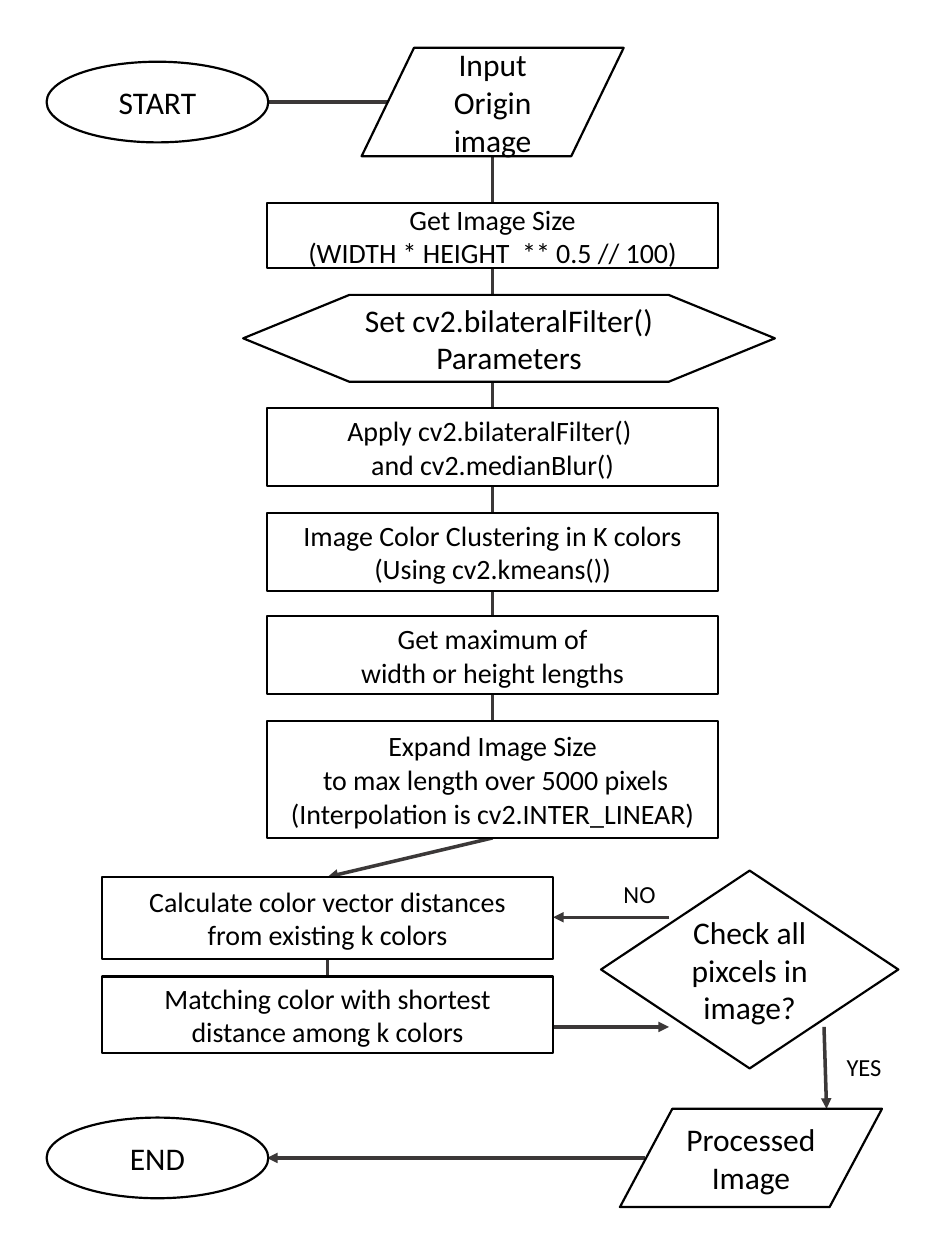
from lxml import etree
from pptx import Presentation
from pptx.dml.color import RGBColor
from pptx.enum.shapes import MSO_CONNECTOR, MSO_SHAPE
from pptx.enum.text import MSO_ANCHOR, MSO_AUTO_SIZE, PP_ALIGN
from pptx.oxml.ns import qn
from pptx.util import Inches, Pt

PROCESS = MSO_SHAPE.FLOWCHART_PROCESS
TERMINAL = MSO_SHAPE.FLOWCHART_CONNECTOR
DATA = MSO_SHAPE.FLOWCHART_DATA
DECISION = MSO_SHAPE.FLOWCHART_DECISION
PREPARATION = MSO_SHAPE.FLOWCHART_PREPARATION
STRAIGHT = MSO_CONNECTOR.STRAIGHT
MIDDLE = MSO_ANCHOR.MIDDLE
CENTER = PP_ALIGN.CENTER
FIT_SHAPE = MSO_AUTO_SIZE.SHAPE_TO_FIT_TEXT

FONT = "Calibri"
BLACK, WHITE, GRAY = "000000", "FFFFFF", "3B3838"
STEP_WIDTH = 3.58
MAIN_LEFT, LOOP_LEFT = 2.12, 0.81
MAIN_CENTER = MAIN_LEFT + STEP_WIDTH / 2
LOOP_CENTER = LOOP_LEFT + STEP_WIDTH / 2
LOOP_RIGHT = LOOP_LEFT + STEP_WIDTH

# left, top, height, lines of text
STEPS = [
    (MAIN_LEFT, 1.61, 0.52, ["Get Image Size", "(WIDTH * HEIGHT  ** 0.5 // 100)"]),
    (MAIN_LEFT, 3.24, 0.62, ["Apply cv2.bilateralFilter() ", "and cv2.medianBlur()"]),
    (MAIN_LEFT, 4.07, 0.62, ["Image Color Clustering in K colors", "(Using cv2.kmeans())"]),
    (MAIN_LEFT, 4.89, 0.62, ["Get maximum of", "width or height lengths"]),
    (MAIN_LEFT, 5.72, 0.93, ["Expand Image Size", " to max length over 5000 pixels",
                             "(Interpolation is cv2.INTER_LINEAR)"]),
    (LOOP_LEFT, 6.96, 0.65, ["Calculate color vector distances", "from existing k colors"]),
    (LOOP_LEFT, 7.75, 0.61, ["Matching color with shortest distance among k colors"]),
]

# kind, box, text
NODES = [
    (TERMINAL, (0.37, 0.49, 1.76, 0.64), "START"),
    (TERMINAL, (0.37, 8.87, 1.76, 0.64), "END"),
    (DATA, (2.87, 0.38, 2.08, 0.86), "Input Origin image"),
    (DATA, (4.92, 8.8, 2.08, 0.78), "Processed\vImage"),
    (DECISION, (4.77, 6.91, 2.36, 1.57), "Check all pixcels in image?"),
    (PREPARATION, (1.93, 2.34, 4.22, 0.69), "Set cv2.bilateralFilter() Parameters"),
]

# start, end, has arrowhead
LINKS = [
    ((MAIN_CENTER, 5.72), (MAIN_CENTER, 1.24), False),
    ((2.12, 0.81), (3.08, 0.81), False),
    ((LOOP_CENTER, 7.75), (LOOP_CENTER, 7.61), False),
    ((MAIN_CENTER, 6.65), (LOOP_CENTER, 6.96), True),
    ((5.31, 7.28), (LOOP_RIGHT, 7.28), True),
    ((LOOP_RIGHT, 8.15), (5.31, 8.15), True),
    ((6.54, 8.15), (6.56, 8.8), True),
    ((5.12, 9.19), (2.12, 9.19), True),
]

LABELS = [("YES", (6.62, 8.3, 0.48, 0.34)), ("NO", (4.85, 6.93, 0.46, 0.34))]


def color(value):
    """Turn a hex string into a colour."""
    return RGBColor.from_string(value)


def add_run(paragraph, text, size):
    """Add one run of black text."""
    run = paragraph.add_run()
    run.text = text
    run.font.name = FONT
    run.font.size = Pt(size)
    run.font.color.rgb = color(BLACK)


def add_node(slide, kind, box, lines, size):
    """Add an outlined flowchart shape with one centred paragraph per line."""
    shape = slide.shapes.add_shape(kind, *map(Inches, box))
    shape.shadow.inherit = False
    shape.fill.solid()
    shape.fill.fore_color.rgb = color(WHITE)
    shape.line.color.rgb = color(BLACK)
    shape.line.width = Pt(1.25)
    frame = shape.text_frame
    frame.word_wrap = True
    frame.vertical_anchor = MIDDLE
    for index, line in enumerate(lines):
        paragraph = frame.add_paragraph() if index else frame.paragraphs[0]
        paragraph.alignment = CENTER
        for part_index, part in enumerate(line.split("\v")):
            if part_index:
                paragraph.add_line_break()
            add_run(paragraph, part, size)


def add_link(slide, start, end, arrow):
    """Add a straight link, with an arrowhead at its end if asked."""
    link = slide.shapes.add_connector(STRAIGHT, *map(Inches, start + end))
    link.line.color.rgb = color(GRAY)
    link.line.width = Pt(2)
    if arrow:
        etree.SubElement(link.line._get_or_add_ln(), qn("a:tailEnd"), type="triangle")
    etree.SubElement(link._element.spPr, qn("a:effectLst"))


def add_label(slide, text, box):
    """Add a small label beside a link."""
    frame = slide.shapes.add_textbox(*map(Inches, box)).text_frame
    frame.word_wrap = False
    frame.auto_size = FIT_SHAPE
    add_run(frame.paragraphs[0], text, 14)


def main():
    """Build the flowchart slide."""
    presentation = Presentation()
    presentation.slide_width = Inches(7.5)
    presentation.slide_height = Inches(10)
    slide = presentation.slides.add_slide(presentation.slide_layouts[6])
    for start, end, arrow in LINKS:
        add_link(slide, start, end, arrow)
    for left, top, height, lines in STEPS:
        add_node(slide, PROCESS, (left, top, STEP_WIDTH, height), lines, 16)
    for kind, box, text in NODES:
        add_node(slide, kind, box, [text], 18)
    for text, box in LABELS:
        add_label(slide, text, box)
    presentation.save("out.pptx")


main()
